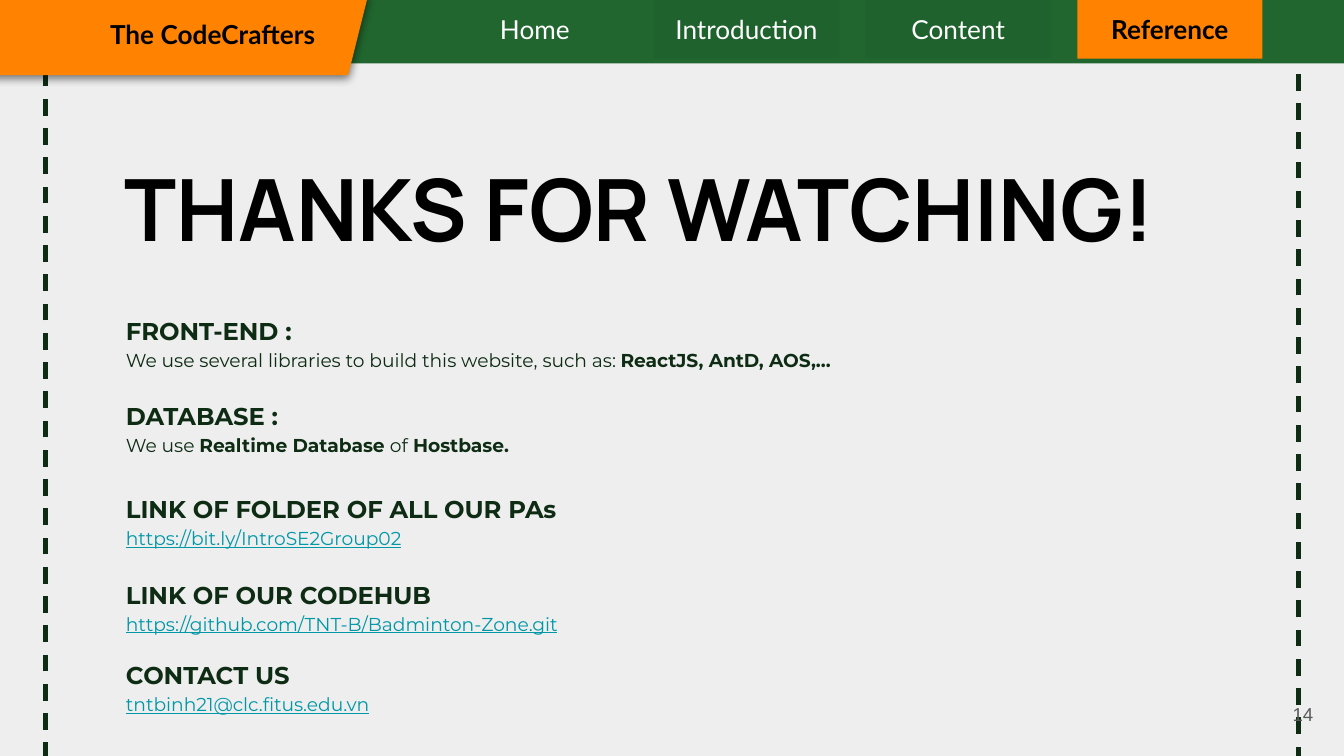
"""Build the closing reference slide with its navigation bar and credits."""
import lxml.etree
import pptx
import pptx.dml.color
import pptx.enum.dml
import pptx.enum.shapes
import pptx.enum.text
import pptx.oxml.ns
import pptx.util

Cm = pptx.util.Cm
Pt = pptx.util.Pt
RGBColor = pptx.dml.color.RGBColor
MSO_SHAPE = pptx.enum.shapes.MSO_SHAPE
PP_ALIGN = pptx.enum.text.PP_ALIGN
qn = pptx.oxml.ns.qn

BLACK = RGBColor(0x00, 0x00, 0x00)
WHITE = RGBColor(0xFF, 0xFF, 0xFF)
PAPER = RGBColor(0xEE, 0xEE, 0xEE)
GREEN = RGBColor(0x21, 0x66, 0x2F)
DARK_GREEN = RGBColor(0x0E, 0x2C, 0x14)
ORANGE = RGBColor(0xFF, 0x83, 0x00)
TEAL = RGBColor(0x00, 0x97, 0xA7)
GRAY = RGBColor(0x59, 0x59, 0x59)


def prepare_frame(shape, anchor=pptx.enum.text.MSO_ANCHOR.TOP):
    frame = shape.text_frame
    frame.word_wrap = True
    frame.auto_size = pptx.enum.text.MSO_AUTO_SIZE.NONE
    frame.vertical_anchor = anchor
    frame.margin_left = frame.margin_right = Cm(0.25)
    frame.margin_top = frame.margin_bottom = Cm(0.25)
    return frame


def style(paragraph, font_name, size, color, bold=None, alignment=PP_ALIGN.LEFT):
    paragraph.alignment = alignment
    font = paragraph.font
    font.name = font_name
    font.size = Pt(size)
    font.color.rgb = color
    font.bold = bold


presentation = pptx.Presentation()
presentation.slide_width = Cm(25.4)
presentation.slide_height = Cm(14.29)
slide = presentation.slides.add_slide(presentation.slide_layouts[1])
slide.background.fill.solid()
slide.background.fill.fore_color.rgb = PAPER

for x, bottom, top in [(0.86, 14.35, 0.97), (24.54, 14.43, 1.04)]:
    border = slide.shapes.add_connector(
        pptx.enum.shapes.MSO_CONNECTOR.STRAIGHT, Cm(x), Cm(bottom), Cm(x), Cm(top))
    border.line.color.rgb = DARK_GREEN
    border.line.width = Pt(2.25)
    border.line.dash_style = pptx.enum.dml.MSO_LINE.DASH
    lxml.etree.SubElement(border._element.spPr, qn("a:effectLst"))

number_box = slide.shapes.add_textbox(Cm(23.55), Cm(12.95), Cm(1.52), Cm(1.09))
frame = prepare_frame(number_box, pptx.enum.text.MSO_ANCHOR.MIDDLE)
frame.text = "14"
style(frame.paragraphs[0], "Arial", 10, GRAY, alignment=PP_ALIGN.RIGHT)

bar = slide.shapes.add_shape(MSO_SHAPE.RECTANGLE, 0, Cm(-0.1), Cm(25.4), Cm(1.3))
bar.shadow.inherit = False
bar.fill.solid()
bar.fill.fore_color.rgb = GREEN
bar.line.fill.background()

banner = slide.shapes.add_shape(
    MSO_SHAPE.PARALLELOGRAM, Cm(-0.41), Cm(-0.1), Cm(7.37), Cm(1.52))
banner.adjustments[0] = 0.25
banner.fill.solid()
banner.fill.fore_color.rgb = ORANGE
banner.line.fill.background()
banner.shadow.inherit = False
effects = banner._element.spPr.find(qn("a:effectLst"))
shadow = lxml.etree.SubElement(
    effects, qn("a:outerShdw"), blurRad=str(Pt(4.5)), dist=str(Pt(1.5)),
    dir="5400000", algn="bl", rotWithShape="0")
shadow_color = lxml.etree.SubElement(shadow, qn("a:srgbClr"), val=str(BLACK))
lxml.etree.SubElement(shadow_color, qn("a:alpha"), val="50000")

team_box = slide.shapes.add_textbox(Cm(1.83), Cm(0.1), Cm(5.72), Cm(1.12))
frame = prepare_frame(team_box)
frame.text = "The CodeCrafters"
style(frame.paragraphs[0], "Lato", 14, BLACK, True)

tabs = [
    ("Home", None, None, WHITE, False),
    ("Introduction", BLACK, 3, WHITE, False),
    ("Content", BLACK, 3, WHITE, False),
    ("Reference", ORANGE, 100, BLACK, True),
]
for index, (label, fill, opacity, color, bold) in enumerate(tabs):
    tab = slide.shapes.add_shape(
        MSO_SHAPE.RECTANGLE, Cm(8.36 + 4 * index), 0, Cm(3.5), Cm(1.11))
    tab.shadow.inherit = False
    tab.line.fill.background()
    if fill is None:
        tab.fill.background()
    else:
        tab.fill.solid()
        tab.fill.fore_color.rgb = fill
        if opacity < 100:
            fill_color = tab._element.spPr.find(qn("a:solidFill"))[0]
            lxml.etree.SubElement(fill_color, qn("a:alpha"), val=str(opacity * 1000))
    frame = prepare_frame(tab)
    frame.text = label
    style(frame.paragraphs[0], "Lato", 14, color, bold, PP_ALIGN.CENTER)

title = slide.shapes.title
title.left, title.top, title.width, title.height = Cm(2.11), Cm(2.69), Cm(21.16), Cm(2.95)
frame = prepare_frame(title)
frame.text = "THANKS FOR WATCHING!"
style(frame.paragraphs[0], "Manrope", 46, BLACK, True)

body = slide.placeholders[1]
body.left, body.top, body.width, body.height = Cm(2.13), Cm(5.64), Cm(21.16), Cm(8.13)
frame = prepare_frame(body)
sections = [
    (0, "FRONT-END :", DARK_GREEN,
     [("We use several libraries to build this website, such as: ", False),
      ("ReactJS, AntD, AOS,...", True)]),
    (14, "DATABASE :", DARK_GREEN,
     [("We use ", False), ("Realtime Database ", True), ("of", False),
      (" Hostbase.", True)]),
    (18.2, "LINK OF FOLDER OF ALL OUR PAs", TEAL,
     [("https://bit.ly/IntroSE2Group02", False)]),
    (14, "LINK OF OUR CODEHUB", TEAL,
     [("https://github.com/TNT-B/Badminton-Zone.git", False)]),
    (11.2, "CONTACT US", TEAL, [("tntbinh21@clc.fitus.edu.vn", False)]),
]
paragraph = frame.paragraphs[0]
for gap, heading, detail_color, details in sections:
    lines = [(gap, 13, DARK_GREEN, [(heading, True)]), (0, 10, detail_color, details)]
    for space, size, color, runs in lines:
        if paragraph is None:
            paragraph = frame.add_paragraph()
        paragraph.line_spacing = 1.15
        paragraph.space_before = Pt(space)
        properties = paragraph._p.get_or_add_pPr()
        properties.set("marL", "0")
        properties.set("indent", "0")
        lxml.etree.SubElement(properties, qn("a:buNone"))
        style(paragraph, "Montserrat", size, color)
        paragraph.font.underline = color == TEAL
        for text, bold in runs:
            run = paragraph.add_run()
            run.text = text
            run.font.bold = bold
        paragraph = None

presentation.save("out.pptx")
